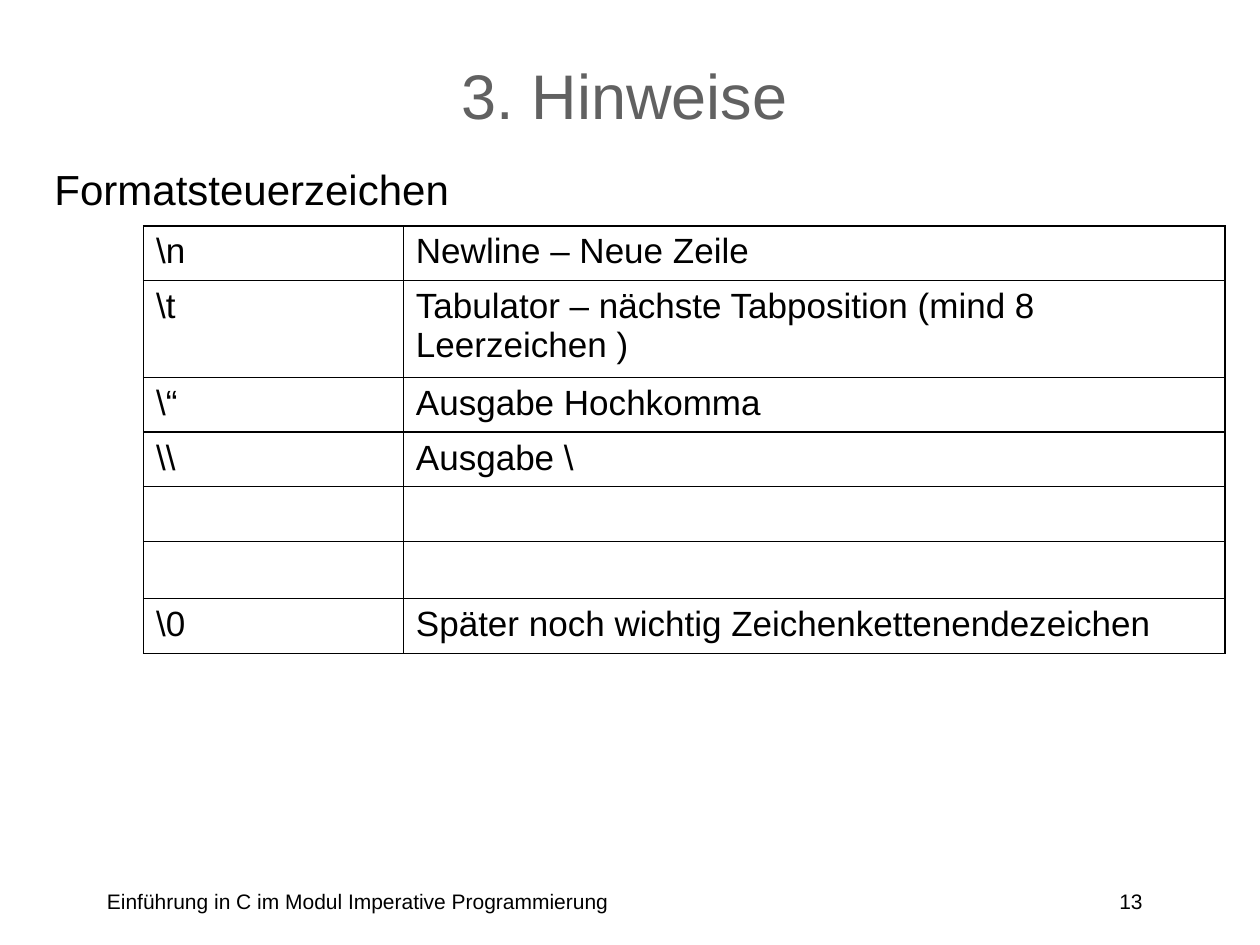
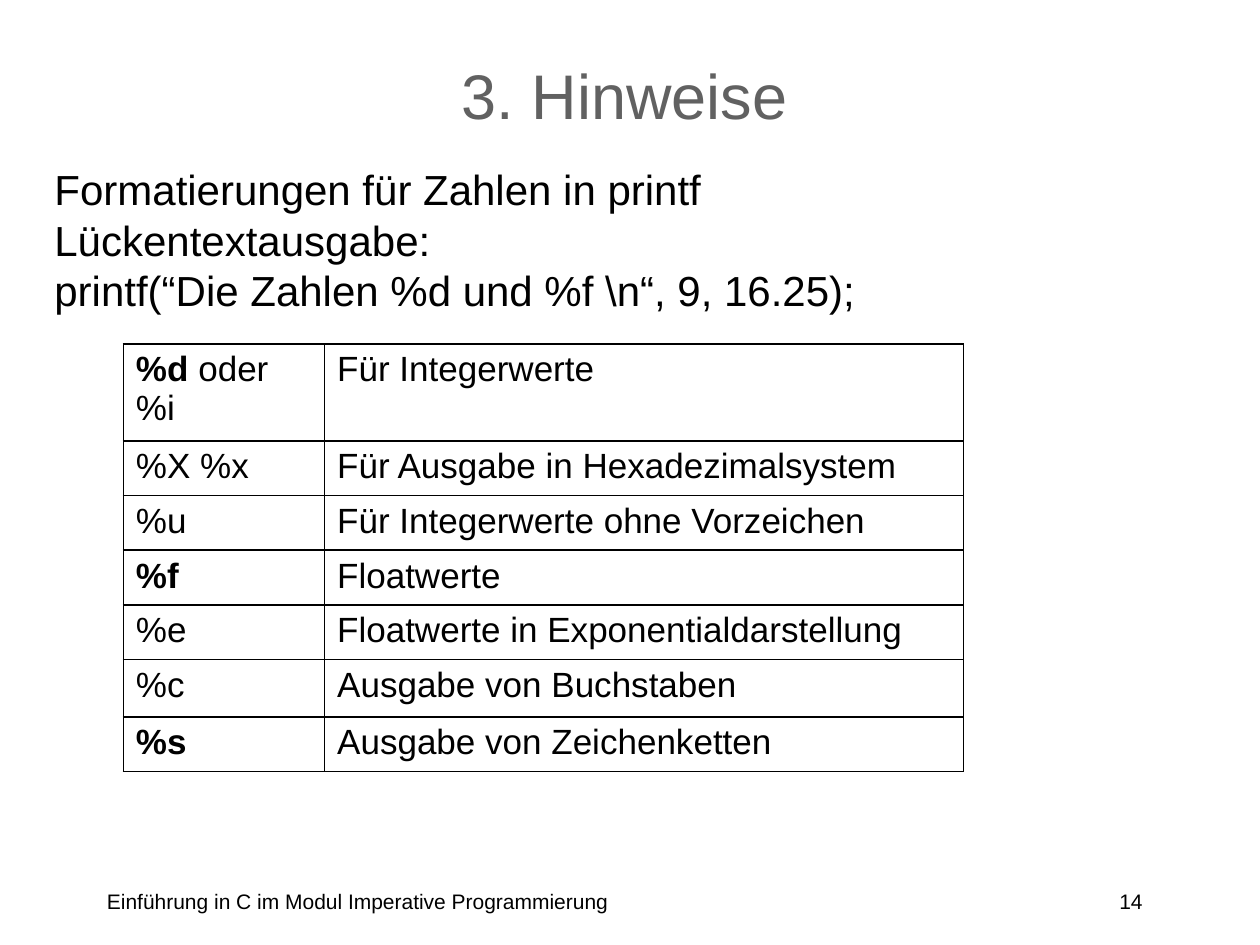
from lxml import etree
from pptx import Presentation
from pptx.dml.color import RGBColor
from pptx.enum.text import MSO_ANCHOR, PP_ALIGN
from pptx.oxml.ns import qn
from pptx.util import Pt

LEFT, CENTER, RIGHT = PP_ALIGN.LEFT, PP_ALIGN.CENTER, PP_ALIGN.RIGHT
TOP, MIDDLE = MSO_ANCHOR.TOP, MSO_ANCHOR.MIDDLE
COLORS = {"text": "000000", "title": "616161", "border": "000000"}
FONT = "Arial"
BLANK_LAYOUT = 6
ROW_HEIGHT, TALL_ROW_HEIGHT, SIXTH_ROW_HEIGHT = 31.2, 55.4, 32.8

CONTROL_CHARACTERS = [
    (r"\n", "Newline – Neue Zeile"),
    (r"\t", "Tabulator – nächste Tabposition (mind 8 Leerzeichen )"),
    (r"\“", "Ausgabe Hochkomma"),
    (r"\\", "Ausgabe \\"),
    ("", ""),
    ("", ""),
    (r"\0", "Später noch wichtig Zeichenkettenendezeichen"),
]
NUMBER_FORMATS = [
    ("%d oder %i", "Für Integerwerte"),
    ("%X %x", "Für Ausgabe in Hexadezimalsystem"),
    ("%u", "Für Integerwerte ohne Vorzeichen"),
    ("%f", "Floatwerte"),
    ("%e", "Floatwerte in Exponentialdarstellung"),
    ("%c", "Ausgabe von Buchstaben"),
    ("%s", "Ausgabe von Zeichenketten"),
]
COMMON_FORMATS = ("%d ", "%f", "%s")


def write_text(frame, text, size=20, color="text", align=LEFT, bold_prefix=""):
    for index, line in enumerate(text.split("\n")):
        paragraph = frame.add_paragraph() if index else frame.paragraphs[0]
        paragraph.alignment = align
        paragraph.font.size = Pt(size)
        for part, bold in ((bold_prefix, True), (line.removeprefix(bold_prefix), False)):
            if part:
                run = paragraph.add_run()
                run.text = part
                run.font.name = FONT
                run.font.size = Pt(size)
                run.font.bold = bold
                run.font.color.rgb = RGBColor.from_string(COLORS[color])


def add_borders(cell):
    properties = cell._tc.get_or_add_tcPr()
    for position, side in enumerate(("a:lnL", "a:lnR", "a:lnT", "a:lnB")):
        line = etree.Element(qn(side), w=str(Pt(1)))
        fill = etree.SubElement(line, qn("a:solidFill"))
        etree.SubElement(fill, qn("a:srgbClr"), val=COLORS["border"])
        properties.insert(position, line)


class Deck:
    def __init__(self):
        self.presentation = Presentation()
        self.presentation.slide_width = Pt(720)
        self.presentation.slide_height = Pt(540)
        self.slide = None

    def add_slide(self, number):
        layout = self.presentation.slide_layouts[BLANK_LAYOUT]
        self.slide = self.presentation.slides.add_slide(layout)
        self.add_text("Einführung in C im Modul Imperative Programmierung",
                      54, 504, 420, 24, size=12)
        self.add_text(str(number), 510, 504, 150, 24, size=12, align=RIGHT)
        self.add_text("3. Hinweise", 48, 12, 618, 84, anchor=MIDDLE,
                      size=36, color="title", align=CENTER)

    def add_text(self, text, left, top, width, height, anchor=TOP, **text_format):
        box = self.slide.shapes.add_textbox(Pt(left), Pt(top), Pt(width), Pt(height))
        frame = box.text_frame
        frame.word_wrap = True
        frame.vertical_anchor = anchor
        write_text(frame, text, **text_format)

    def add_body(self, text, height):
        self.add_text(text, 24, 90, 682, height, size=24)

    def add_table(self, entries, left, top, column_widths, tall_row):
        heights = [ROW_HEIGHT] * len(entries)
        heights[tall_row] = TALL_ROW_HEIGHT
        heights[5] = SIXTH_ROW_HEIGHT
        table = self.slide.shapes.add_table(
            len(entries), len(column_widths), Pt(left), Pt(top),
            Pt(sum(column_widths)), Pt(sum(heights))).table
        table.first_row = table.horz_banding = False
        for column, width in zip(table.columns, column_widths):
            column.width = Pt(width)
        for row, height, texts in zip(table.rows, heights, entries):
            row.height = Pt(height)
            for cell, text in zip(row.cells, texts):
                cell.fill.background()
                add_borders(cell)
                prefix = next((p for p in COMMON_FORMATS if text.startswith(p)), "")
                write_text(cell.text_frame, text, bold_prefix=prefix)


def main():
    deck = Deck()

    deck.add_slide(13)
    deck.add_body("Formatsteuerzeichen", 36)
    deck.add_table(CONTROL_CHARACTERS, 82, 129, (148.5, 469.5), tall_row=1)

    deck.add_slide(14)
    deck.add_body("Formatierungen für Zahlen in printf\n"
                  "Lückentextausgabe:\n"
                  "printf(“Die Zahlen %d und %f \\n“, 9, 16.25);", 94)
    deck.add_table(NUMBER_FORMATS, 70.5, 196.5, (115, 365), tall_row=0)

    deck.presentation.save("out.pptx")


if __name__ == "__main__":
    main()
